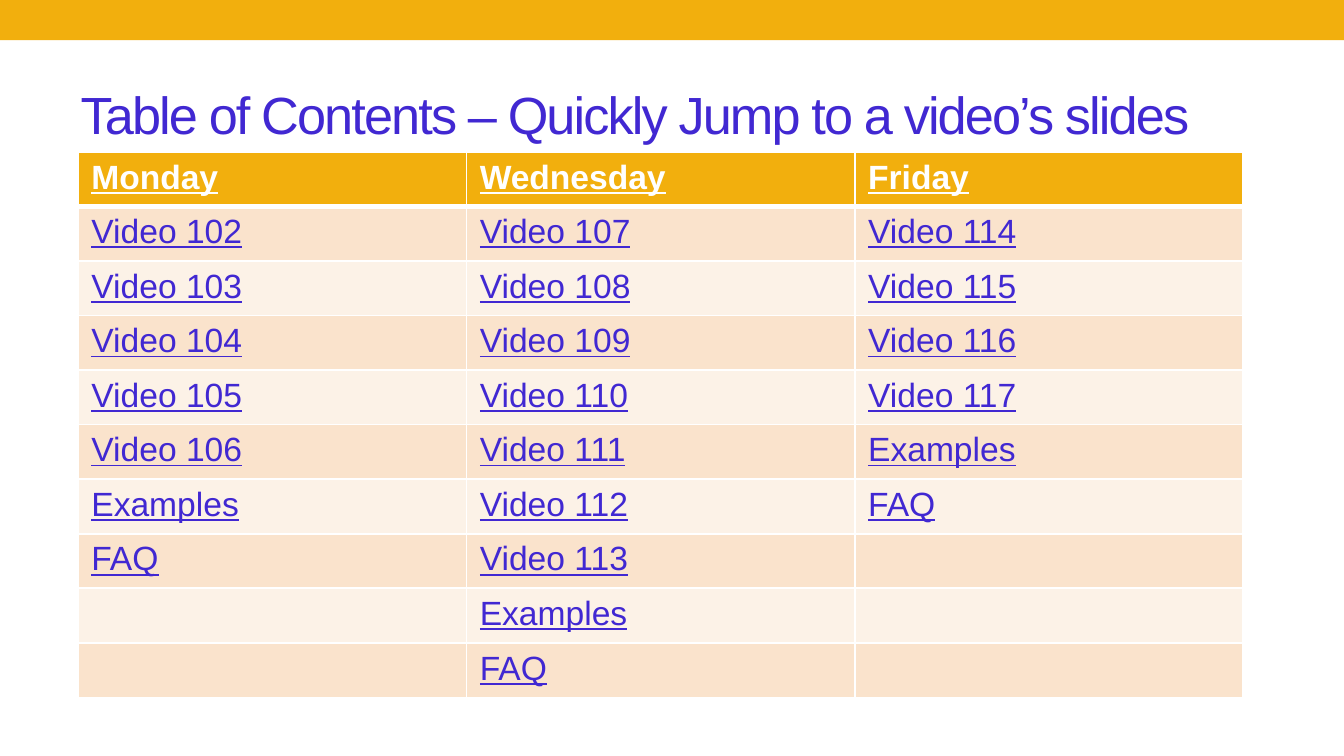
import itertools

import lxml.etree
import pptx
import pptx.dml.color
import pptx.enum.shapes
import pptx.enum.text
import pptx.oxml.ns
import pptx.util

Inches = pptx.util.Inches
RGBColor = pptx.dml.color.RGBColor

GOLD = RGBColor(0xF2, 0xAF, 0x0D)
VIOLET = RGBColor(0x41, 0x28, 0xD2)
WHITE = RGBColor(0xFF, 0xFF, 0xFF)
DARK_BAND = RGBColor(0xFA, 0xE3, 0xCC)
LIGHT_BAND = RGBColor(0xFC, 0xF2, 0xE7)


def videos(first, last):
    return [f"Video {number}" for number in range(first, last + 1)]


CONTENTS = {
    "Monday": videos(102, 106) + ["Examples", "FAQ"],
    "Wednesday": videos(107, 113) + ["Examples", "FAQ"],
    "Friday": videos(114, 117) + ["Examples", "FAQ"],
}


def write_text(text_frame, text, *, size, color, bold=False, underline=False, spacing=None):
    """Write one run; spacing is the letter spacing in points."""
    run = text_frame.paragraphs[0].add_run()
    run.text = text
    run.font.name = "Arial"
    run.font.size = pptx.util.Pt(size)
    run.font.color.rgb = color
    run.font.bold = bold
    run.font.underline = underline
    if spacing is not None:
        run.font._element.set("spc", str(round(spacing * 100)))


def set_borders(cell, color, widths):
    """Draw the left, right, top and bottom borders, widths in points."""
    properties = cell._tc.get_or_add_tcPr()
    qn = pptx.oxml.ns.qn
    for index, (side, width) in enumerate(zip("LRTB", widths)):
        line = lxml.etree.Element(qn(f"a:ln{side}"), w=str(pptx.util.Pt(width)))
        fill = lxml.etree.SubElement(line, qn("a:solidFill"))
        lxml.etree.SubElement(fill, qn("a:srgbClr"), val=str(color))
        properties.insert(index, line)


def add_top_bar(slide, left, top, width, height):
    bar = slide.shapes.add_shape(
        pptx.enum.shapes.MSO_SHAPE.RECTANGLE, left, top, width, height)
    bar.shadow.inherit = False
    bar.fill.solid()
    bar.fill.fore_color.rgb = GOLD
    bar.line.fill.background()


def place_title(slide, text, left, top, width, height):
    title = slide.shapes.title
    title.left, title.top, title.width, title.height = left, top, width, height
    frame = title.text_frame
    frame.word_wrap = True
    frame.auto_size = pptx.enum.text.MSO_AUTO_SIZE.NONE
    frame.vertical_anchor = pptx.enum.text.MSO_ANCHOR.MIDDLE
    frame.paragraphs[0].alignment = pptx.enum.text.PP_ALIGN.LEFT
    write_text(frame, text, size=28, color=VIOLET, spacing=-1)


def add_contents_table(slide, contents, left, top, width, height):
    columns = [[day, *entries] for day, entries in contents.items()]
    rows = list(itertools.zip_longest(*columns, fillvalue=""))
    table = slide.shapes.add_table(
        len(rows), len(columns), left, top, width, height).table
    for row_index, row in enumerate(rows):
        is_header = row_index == 0
        if is_header:
            background = GOLD
        else:
            background = DARK_BAND if row_index % 2 else LIGHT_BAND
        for column_index, text in enumerate(row):
            cell = table.cell(row_index, column_index)
            cell.fill.solid()
            cell.fill.fore_color.rgb = background
            set_borders(cell, WHITE, (1, 1, 3 if row_index == 1 else 1, 3 if is_header else 1))
            if text:
                write_text(cell.text_frame, text, size=18, bold=is_header,
                           color=WHITE if is_header else VIOLET, underline=True)


def main():
    presentation = pptx.Presentation()
    presentation.slide_width = Inches(10)
    presentation.slide_height = presentation.slide_width * 9 // 16
    slide = presentation.slides.add_slide(presentation.slide_layouts[5])
    add_top_bar(slide, 0, 0, presentation.slide_width, Inches(0.3))
    place_title(slide, "Table of Contents – Quickly Jump to a video’s slides",
                Inches(0.5), Inches(0.44), Inches(9), Inches(0.81))
    add_contents_table(slide, CONTENTS,
                       Inches(0.58), Inches(1.13), Inches(8.67), Inches(4.06))
    presentation.save("out.pptx")


if __name__ == "__main__":
    main()
